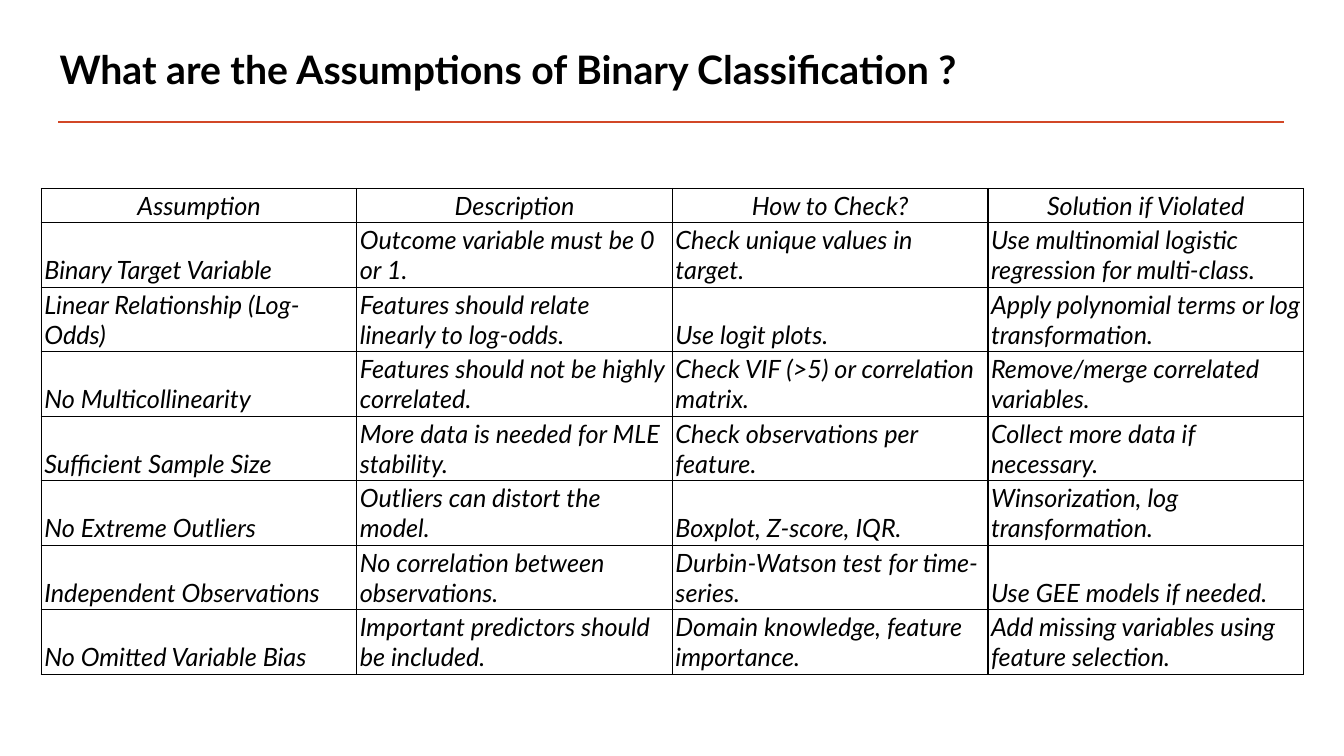
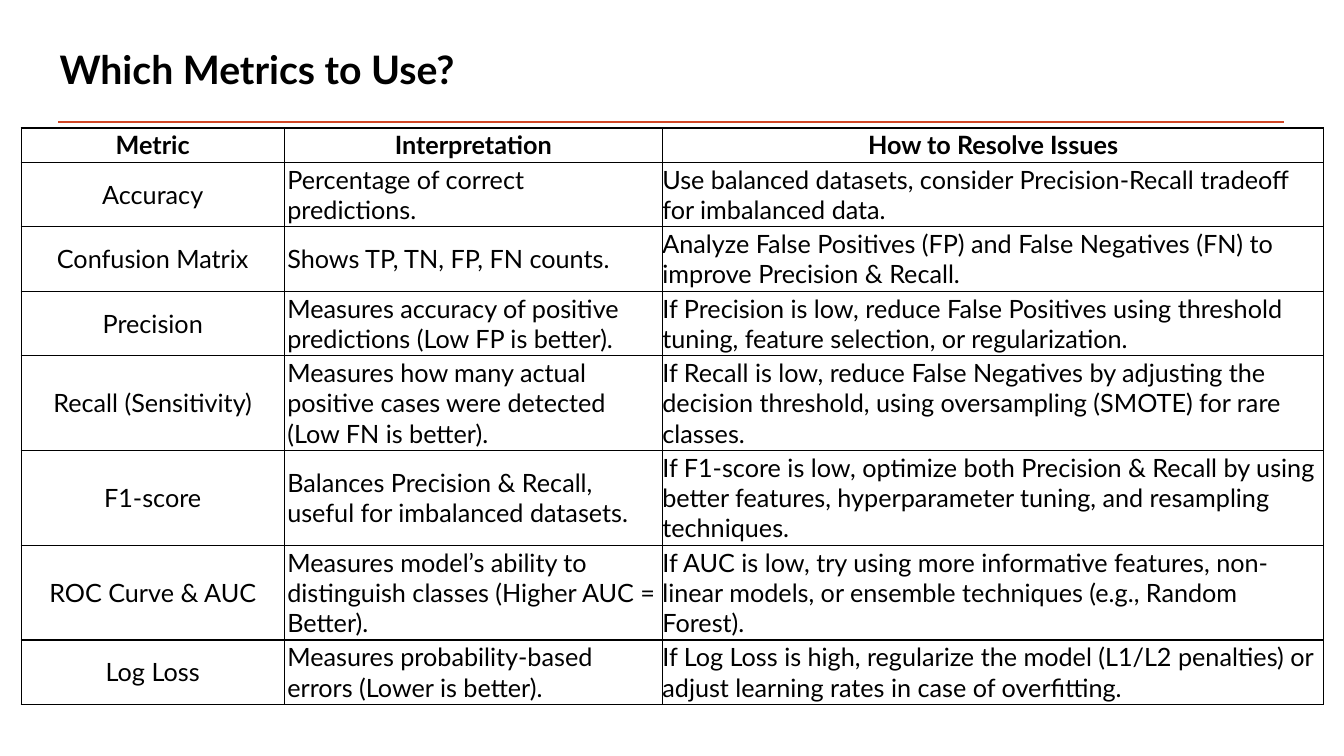
from lxml import etree
from pptx import Presentation
from pptx.dml.color import RGBColor
from pptx.enum.shapes import MSO_CONNECTOR
from pptx.enum.text import MSO_ANCHOR, MSO_AUTO_SIZE, PP_ALIGN
from pptx.oxml.ns import qn
from pptx.util import Pt

LINE = MSO_CONNECTOR.STRAIGHT
TOP, MIDDLE, BOTTOM = MSO_ANCHOR.TOP, MSO_ANCHOR.MIDDLE, MSO_ANCHOR.BOTTOM
NO_FIT = MSO_AUTO_SIZE.NONE
LEFT, CENTER = PP_ALIGN.LEFT, PP_ALIGN.CENTER

BLACK = RGBColor(0x00, 0x00, 0x00)
ORANGE = RGBColor(0xD2, 0x47, 0x26)
FONT = "Lato"
EMU_PER_PX = 9144
TITLE_ONLY = 5
LINE_HEIGHT = 30
CELL_PAD_X, CELL_PAD_Y = 3, 2


def px(n):
    return n * EMU_PER_PX


class Deck:
    def __init__(self):
        self.prs = Presentation()
        self.prs.slide_width, self.prs.slide_height = px(1333), px(750)
        self.s = None

    def slide(self, title):
        self.s = self.prs.slides.add_slide(self.prs.slide_layouts[TITLE_ONLY])
        self.rule(58, 121, 1274)
        self.title(title)

    def rule(self, x1, y, x2):
        line = self.s.shapes.add_connector(LINE, px(x1), px(y), px(x2), px(y))
        line.line.color.rgb = ORANGE
        line.line.width = Pt(2)
        etree.SubElement(line._element.spPr, qn("a:effectLst"))

    def title(self, text):
        sp = self.s.shapes.title
        sp.left, sp.top, sp.width, sp.height = px(49), px(45), px(1163), px(70)
        tf = sp.text_frame
        tf.text = text
        tf.vertical_anchor = TOP
        tf.auto_size = NO_FIT
        tf.word_wrap = True
        p = tf.paragraphs[0]
        p.line_spacing = 0.9
        self.style(p, 28, LEFT, bold=True)

    def style(self, p, size, align, bold=False, italic=False):
        p.alignment = align
        for r in p.runs:
            f = r.font
            f.name, f.size, f.bold, f.italic = FONT, Pt(size), bold, italic
            f.color.rgb = BLACK

    def border(self, cell):
        tcPr = cell._tc.get_or_add_tcPr()
        for side in ("lnL", "lnR", "lnT", "lnB"):
            ln = etree.SubElement(tcPr, qn(f"a:{side}"), w=str(Pt(1)))
            fill = etree.SubElement(ln, qn("a:solidFill"))
            etree.SubElement(fill, qn("a:srgbClr"), val=str(BLACK))

    def table(self, x, y, widths, lines, rows, anchor, bold_header=False,
              italic=False, centered=(), flush=()):
        heights = [2 * CELL_PAD_Y + LINE_HEIGHT * n for n in lines]
        table = self.s.shapes.add_table(
            len(rows), len(widths), px(x), px(y),
            px(sum(widths)), px(sum(heights))).table
        table.first_row = table.horz_banding = False
        for column, width in zip(table.columns, widths):
            column.width = px(width)
        for i, (row, height) in enumerate(zip(rows, heights)):
            table.rows[i].height = px(height)
            header = i == 0
            for j, text in enumerate(row):
                cell = table.cell(i, j)
                cell.text = text
                cell.vertical_anchor = anchor
                pad = 0 if j in flush and not header else CELL_PAD_X
                cell.margin_left = cell.margin_right = px(pad)
                cell.margin_top = cell.margin_bottom = px(CELL_PAD_Y)
                self.border(cell)
                cell.fill.background()
                align = CENTER if header or j in centered else LEFT
                self.style(cell.text_frame.paragraphs[0], 18, align,
                           bold=header and bold_header, italic=italic)


ASSUMPTIONS = [
    ("Assumption", "Description", "How to Check?", "Solution if Violated"),
    ("Binary Target Variable", "Outcome variable must be 0 or 1.",
     "Check unique values in target.",
     "Use multinomial logistic regression for multi-class."),
    ("Linear Relationship (Log-Odds)",
     "Features should relate linearly to log-odds.", "Use logit plots.",
     "Apply polynomial terms or log transformation."),
    ("No Multicollinearity", "Features should not be highly correlated.",
     "Check VIF (>5) or correlation matrix.",
     "Remove/merge correlated variables."),
    ("Sufficient Sample Size", "More data is needed for MLE stability.",
     "Check observations per feature.", "Collect more data if necessary."),
    ("No Extreme Outliers", "Outliers can distort the model.",
     "Boxplot, Z-score, IQR.", "Winsorization, log transformation."),
    ("Independent Observations", "No correlation between observations.",
     "Durbin-Watson test for time-series.", "Use GEE models if needed."),
    ("No Omitted Variable Bias", "Important predictors should be included.",
     "Domain knowledge, feature importance.",
     "Add missing variables using feature selection."),
]

METRICS = [
    ("Metric", "Interpretation", "How to Resolve Issues"),
    ("Accuracy", "Percentage of correct predictions.",
     "Use balanced datasets, consider Precision-Recall tradeoff for "
     "imbalanced data."),
    ("Confusion Matrix", "Shows TP, TN, FP, FN counts.",
     "Analyze False Positives (FP) and False Negatives (FN) to improve "
     "Precision & Recall."),
    ("Precision",
     "Measures accuracy of positive predictions (Low FP is better).",
     "If Precision is low, reduce False Positives using threshold tuning, "
     "feature selection, or regularization."),
    ("Recall (Sensitivity)",
     "Measures how many actual positive cases were detected "
     "(Low FN is better).",
     "If Recall is low, reduce False Negatives by adjusting the decision "
     "threshold, using oversampling (SMOTE) for rare classes."),
    ("F1-score",
     "Balances Precision & Recall, useful for imbalanced datasets.",
     "If F1-score is low, optimize both Precision & Recall by using better "
     "features, hyperparameter tuning, and resampling techniques."),
    ("ROC Curve & AUC",
     "Measures model’s ability to distinguish classes "
     "(Higher AUC = Better).",
     "If AUC is low, try using more informative features, non-linear models, "
     "or ensemble techniques (e.g., Random Forest)."),
    ("Log Loss", "Measures probability-based errors (Lower is better).",
     "If Log Loss is high, regularize the model (L1/L2 penalties) or adjust "
     "learning rates in case of overfitting."),
]


def main():
    deck = Deck()

    deck.slide("What are the Assumptions of Binary Classification ?")
    deck.table(41, 187, [313] * 4, [1] + [2] * 7, ASSUMPTIONS, BOTTOM,
               italic=True)

    deck.slide("Which Metrics to Use?")
    deck.table(21, 127, [261, 375, 656], [1, 2, 2, 2, 3, 3, 3, 2], METRICS,
               MIDDLE, bold_header=True, centered=(0,), flush=(2,))

    deck.prs.save("out.pptx")


if __name__ == "__main__":
    main()
